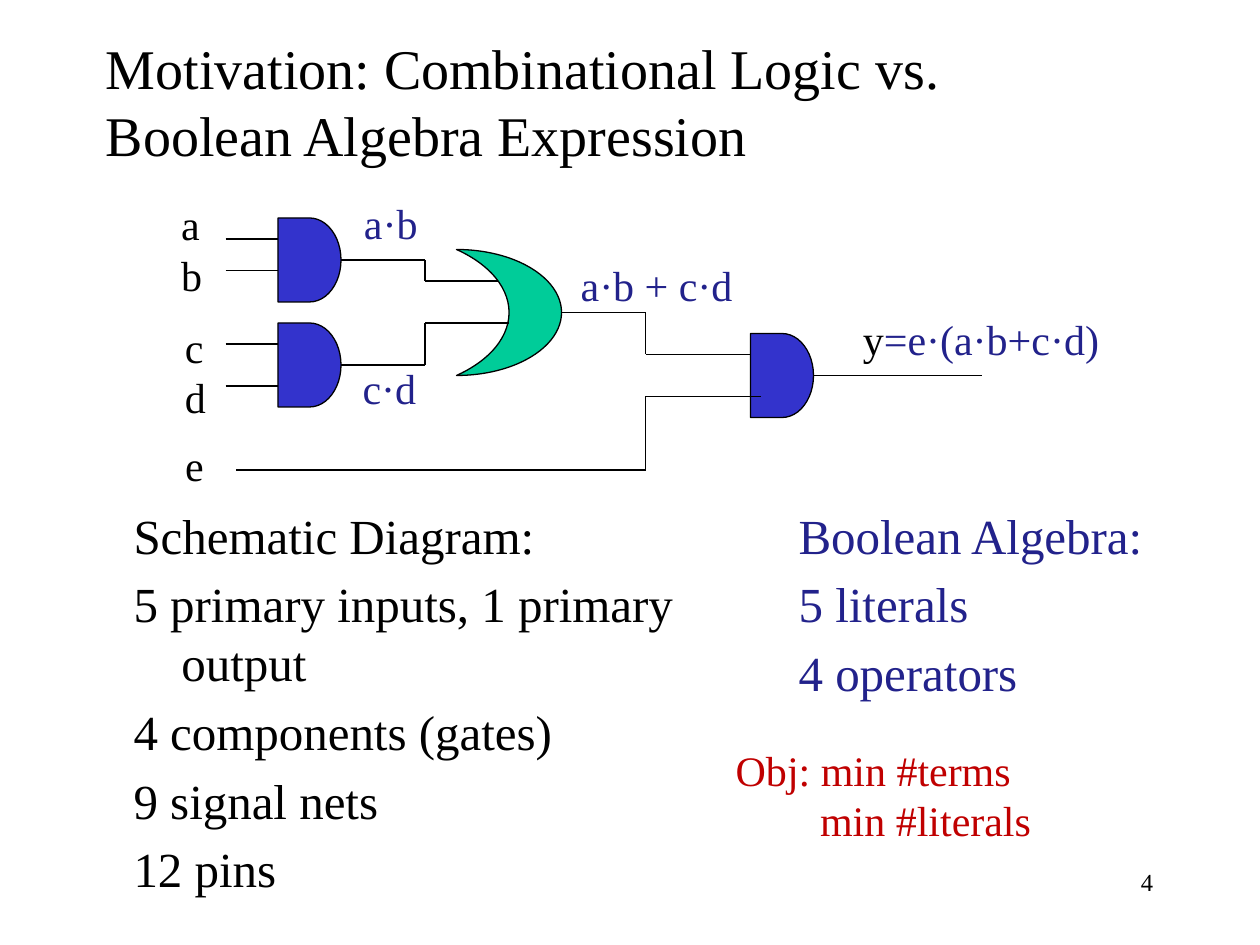
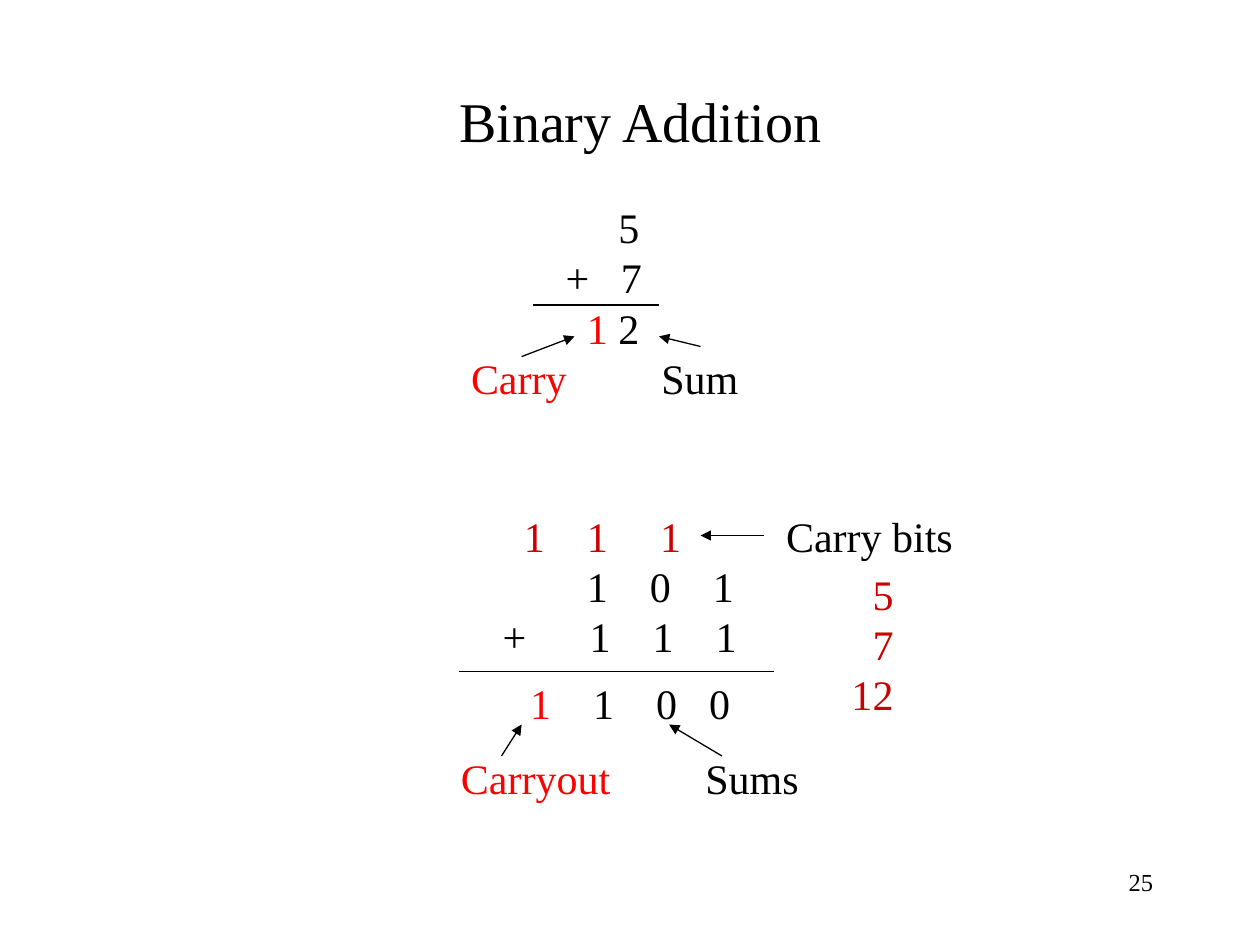
from pptx import Presentation
from pptx import util as u
from pptx.dml import color
from pptx.enum import shapes, text
from pptx.oxml import ns
from lxml import etree

FONT = "Times New Roman"
BLACK, NAVY, BLUE, GREEN = "000000", "22228B", "3333CC", "00CC99"
RED, DARK, BRICK = "FF0000", "CC0000", "C00000"
LEFT, RIGHT, CENTER = text.PP_ALIGN.LEFT, text.PP_ALIGN.RIGHT, text.PP_ALIGN.CENTER
UNIT = 1 / 12  # grid step of the circuit, in inches


def rgb(code):
    return color.RGBColor.from_string(code)


def sub(parent, tag, **attrs):
    return etree.SubElement(parent, ns.qn(tag), attrs)


# ---- Text ----
def write(par, runs, size, tabs=(), hang=0, align=LEFT):
    """Fill a paragraph with (text, colour) runs; tabs and hang in inches."""
    props = par._p.get_or_add_pPr()
    if hang:
        props.set("marL", str(u.Inches(hang)))
        props.set("indent", str(-u.Inches(hang)))
        sub(props, "a:buNone")
    if tabs:
        stops = sub(props, "a:tabLst")
        for stop in tabs:
            sub(stops, "a:tab", pos=str(u.Inches(stop)), algn="l")
    par.alignment = align
    for words, ink in runs:
        run = par.add_run()
        run.text = words
        run.font.name, run.font.size = FONT, u.Pt(size)
        run.font.color.rgb = rgb(ink)


def fill(frame, rows, size=24, gap=0, **style):
    """Write one paragraph per row; a row is (runs, tab stops)."""
    frame.auto_size = text.MSO_AUTO_SIZE.NONE
    for i, (runs, tabs) in enumerate(rows):
        par = frame.add_paragraph() if i else frame.paragraphs[0]
        par.space_before = u.Pt(gap if i else 0)
        write(par, runs, size, tabs, **style)


def plain(ink, *lines):
    return [([(line, ink)], ()) for line in lines]


def label(tree, box, rows, wrap=True, **style):
    shape = tree.add_textbox(*map(u.Inches, box))
    shape.text_frame.word_wrap = wrap
    fill(shape.text_frame, rows, **style)


def place(holder, box):
    holder.left, holder.top, holder.width, holder.height = map(u.Inches, box)
    return holder.text_frame


# ---- Lines ----
def line(tree, start, end, arrow=False):
    ends = [u.Inches(v) for v in (*start, *end)]
    conn = tree.add_connector(shapes.MSO_CONNECTOR.STRAIGHT, *ends)
    conn.line.color.rgb, conn.line.width = rgb(BLACK), u.Pt(0.75)
    props = conn._element.spPr
    if arrow:
        sub(props.find(ns.qn("a:ln")), "a:tailEnd", type="triangle")
    sub(props, "a:effectLst")
    return conn


# ---- Parts shared by the slides ----
def start(deck, layout, title, box, page, align=LEFT):
    slide = deck.slides.add_slide(deck.slide_layouts[layout])
    frame = place(slide.shapes.title, box)
    frame.vertical_anchor = text.MSO_ANCHOR.MIDDLE
    fill(frame, plain(BLACK, title), 32, align=align)
    label(slide.shapes, (7.17, 6.83, 2.08, 0.5), plain(BLACK, page),
          size=14, align=RIGHT)
    return slide


# ---- Circuit ----
def circuit(slide, x, y):
    tree = slide.shapes.add_group_shape().shapes

    def at(col, row):
        return x + col * UNIT, y + row * UNIT

    def gate(kind, col, row, wide, high, ink):
        box = (*at(col, row), wide * UNIT, high * UNIT)
        shape = tree.add_shape(kind, *map(u.Inches, box))
        shape.shadow.inherit = False
        shape.fill.solid()
        shape.fill.fore_color.rgb = rgb(ink)
        shape.line.color.rgb, shape.line.width = rgb(BLACK), u.Pt(0.75)
        return shape

    def wire(*points, source=None):
        for i, (a, b) in enumerate(zip(points, points[1:])):
            conn = line(tree, at(*a), at(*b))
            if source and i == 0:
                conn.begin_connect(source, 3)

    # Gates
    kind = shapes.MSO_SHAPE
    upper, lower, final = [gate(kind.FLOWCHART_DELAY, col, row, 6, 8, BLUE)
                           for col, row in ((5, 0), (5, 10), (50, 11))]
    either = gate(kind.MOON, 22, 3, 10, 12, GREEN)
    either.rotation = 180

    # Wires, in grid steps
    for row in (2, 5, 12, 16):
        wire((0, row), (5, row))
    wire((11, 4), (19, 4), (19, 6), (26, 6), source=upper)
    wire((11, 14), (19, 14), (19, 10), (27, 10), source=lower)
    wire((32, 9), (40, 9), (40, 13), (50, 13))
    wire((1, 24), (40, 24), (40, 17), (51, 17))
    wire((56, 15), (72, 15), source=final)

    # Signal names
    names = [
        (-0.45, -0.2, 0.37, 0.9, plain(BLACK, "a", "b")),
        (-0.42, 0.77, 0.37, 0.9, plain(BLACK, "c", "d")),
        (-0.42, 1.71, 0.35, 0.5, plain(BLACK, "e")),
        (1, -0.21, 0.63, 0.51, plain(NAVY, "a·b")),
        (0.99, 1.1, 0.63, 0.51, plain(NAVY, "c·d")),
        (2.72, 0.28, 1.42, 0.51, plain(NAVY, "a·b + c·d")),
        (4.96, 0.71, 2.09, 0.51,
         [([("y", BLACK), ("=e·(a·b+c·d)", NAVY)], ())]),
    ]
    for dx, dy, wide, high, rows in names:
        label(tree, (x + dx, y + dy, wide, high), rows, wrap=False)


def logic(deck):
    slide = start(
        deck, 1, "Motivation: Combinational Logic vs. Boolean Algebra Expression",
        (0.74, 0.28, 8.17, 1.04), "4")
    lists = dict(size=28, gap=5.6, hang=0.38)
    fill(place(slide.placeholders[1], (0.96, 3.96, 4.78, 2.76)),
         plain(BLACK, "Schematic Diagram:", "5 primary inputs, 1 primary output",
               "4 components (gates)", "9 signal nets", "12 pins"), **lists)
    circuit(slide, 1.79, 1.73)
    label(slide.shapes, (6.24, 3.96, 3.04, 1.9),
          plain(NAVY, "Boolean Algebra:", "5 literals", "4 operators"), **lists)
    label(slide.shapes, (5.74, 5.86, 3.62, 0.91),
          [([("Obj: min #terms", BRICK)], ()),
           ([("\tmin #literals", BRICK)], (0.67,))])


# ---- Sums ----
def marks(tree, x, y, rule, arrows):
    """Draw the sum rule (left, top, right) and the pointing arrows."""
    left, top, right = rule
    line(tree, (x + left, y + top), (x + right, y + top))
    for ax, ay, bx, by in arrows:
        line(tree, (x + ax, y + ay), (x + bx, y + by), arrow=True)


def decimal(tree, x, y):
    label(tree, (x, y, 3.5, 1.72), [
        ([("\t5", BLACK)], (1.42,)),
        ([("\t+\t7", BLACK)], (1, 1.44)),
        ([("\t1", RED), (" 2", BLACK)], (1.17,)),
        ([("\tCarry", RED), ("\tSum", BLACK)], (0.25, 1.76)),
    ])
    marks(tree, x, y, (0.84, 0.87, 1.84),
          [(0.75, 1.28, 1.17, 1.12), (2.17, 1.2, 1.84, 1.12)])


def binary(tree, x, y):
    label(tree, (x + 0.33, y, 2.75, 1.3), [
        ([("\t1\t1\t1", DARK)], (0.17, 0.67, 1.25)),
        ([("\t1\t0\t1", BLACK)], (0.67, 1.17, 1.67)),
        ([("+\t1\t1\t1", BLACK)], (0.69, 1.19, 1.69)),
    ])
    label(tree, (x + 0.55, y + 1.33, 2.1, 0.5),
          [([("1", RED), ("\t1\t0\t0", BLACK)], (0.5, 1, 1.42))])
    label(tree, (x, y + 1.92, 3.08, 0.5),
          [([("Carryout", RED), ("\tSums", BLACK)], (1.94,))])
    label(tree, (x + 2.58, y, 1.52, 0.5), plain(BLACK, "Carry bits"), wrap=False)
    label(tree, (x + 3.09, y + 0.46, 0.54, 1.31), plain(DARK, "5", "7", "12"),
          align=RIGHT)
    marks(tree, x, y, (0.08, 1.33, 2.58),
          [(2.17, 2, 1.75, 1.75), (2.5, 0.25, 2, 0.25), (0.42, 2, 0.58, 1.75)])


def adding(deck):
    slide = start(deck, 5, "Binary Addition", (0.75, 0.58, 8.67, 0.75), "25", CENTER)
    decimal(slide.shapes, 3.39, 1.55)
    binary(slide.shapes, 3.56, 4)


def main():
    deck = Presentation()
    deck.slide_width, deck.slide_height = u.Inches(10), u.Inches(7.5)
    logic(deck)
    adding(deck)
    deck.save("out.pptx")


if __name__ == "__main__":
    main()
